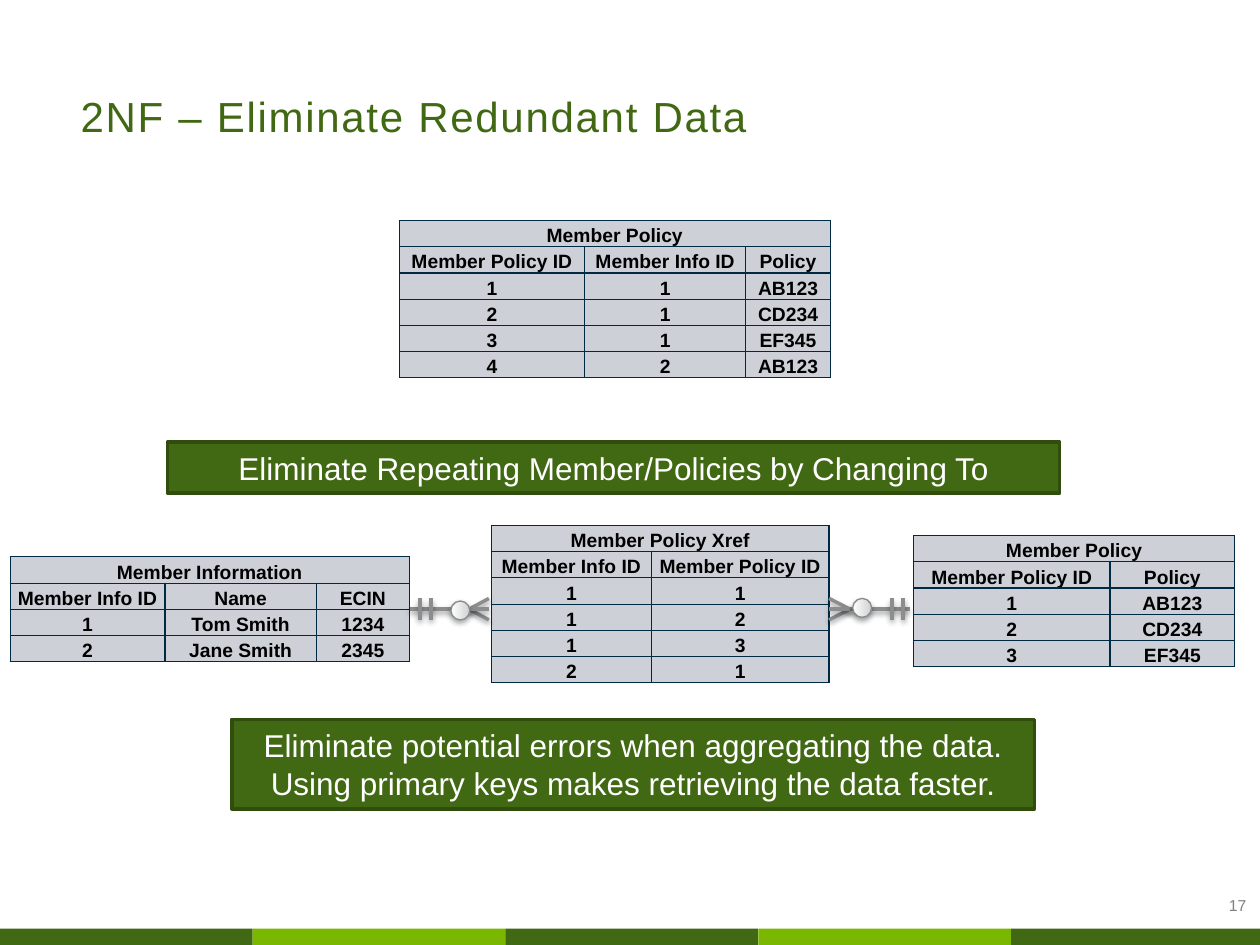
from lxml.etree import SubElement
from pptx import Presentation
from pptx.dml.color import RGBColor
from pptx.enum.shapes import MSO_CONNECTOR as Connector, MSO_SHAPE as Shape
from pptx.enum.text import MSO_ANCHOR as Anchor, MSO_AUTO_SIZE as AutoSize, PP_ALIGN as Align
from pptx.oxml import parse_xml
from pptx.oxml.ns import nsdecls, qn
from pptx.util import Inches, Pt

WIDTH, HEIGHT = Inches(10), Inches(7.5)
GREEN, LIME, DARK_GREEN = "416812", "7AB800", "304D0D"
NAVY, CELL_GREY, LINE_GREY = "002A43", "CDD0D7", "8B8D8E"
ROW_HEIGHT = 2.78


def color(value):
    """Turn a hex string into a colour."""
    return RGBColor.from_string(value)


def place(left, top, width, height):
    """Turn percentages of the slide into lengths."""
    return [int(share * side / 100) for share, side in
            zip((left, top, width, height), (WIDTH, HEIGHT) * 2)]


def style_text(text_frame, size, hex_color, align, bold=False):
    """Format every paragraph and run of a text frame."""
    for paragraph in text_frame.paragraphs:
        paragraph.alignment = align
        for run in paragraph.runs:
            run.font.name, run.font.size, run.font.bold = "Arial", Pt(size), bold
            run.font.color.rgb = color(hex_color)


def add_shadow(shape, alpha):
    """Give a shape or connector a soft shadow straight below it."""
    effects = parse_xml(
        f'<a:effectLst {nsdecls("a")}><a:outerShdw blurRad="{Pt(3.1)}" dist="{Pt(1.6)}" '
        f'dir="5400000" rotWithShape="0"><a:srgbClr val="000000"><a:alpha val="{alpha * 1000}"/>'
        '</a:srgbClr></a:outerShdw></a:effectLst>')
    shape._element.spPr.append(effects)


def add_rectangle(slide, box, fill):
    """Draw a plain filled rectangle."""
    shape = slide.shapes.add_shape(Shape.RECTANGLE, *place(*box))
    shape.shadow.inherit = False
    shape.fill.solid()
    shape.fill.fore_color.rgb = color(fill)
    shape.line.fill.background()
    return shape


def add_title(slide, box, text):
    """Move and format the title placeholder."""
    title = slide.shapes.title
    title.left, title.top, title.width, title.height = place(*box)
    frame = title.text_frame
    frame.text = text
    frame.auto_size, frame.word_wrap = AutoSize.NONE, True
    frame.vertical_anchor, frame.margin_bottom = Anchor.BOTTOM, 0
    style_text(frame, 24, GREEN, Align.LEFT)
    paragraph = frame.paragraphs[0]
    paragraph.line_spacing = Pt(26.8)
    paragraph.runs[0].font._element.set("spc", "100")


def add_footer(slide, box, number):
    """Draw the striped band and the slide number above it."""
    left, top, width, height = box
    stripe = width / 5
    for index in range(5):
        add_rectangle(slide, (left + index * stripe, top, stripe, height),
                      LIME if index % 2 else GREEN)
    label = slide.shapes.add_textbox(*place(93.2, top - 3.87, 6.7, 2.67))
    frame = label.text_frame
    frame.text = number
    frame.word_wrap, frame.vertical_anchor = True, Anchor.MIDDLE
    style_text(frame, 9, "808080", Align.RIGHT)


def add_banner(slide, box, text):
    """Draw a green banner with centred white text."""
    banner = add_rectangle(slide, box, GREEN)
    banner.line.color.rgb, banner.line.width = color(DARK_GREEN), Pt(2)
    frame = banner.text_frame
    frame.text = text
    frame.word_wrap, frame.vertical_anchor = True, Anchor.MIDDLE
    style_text(frame, 18, "FFFFFF", Align.CENTER)


def style_cell(cell):
    """Format the text, fill and borders of a table cell."""
    cell.fill.solid()
    cell.fill.fore_color.rgb = color(CELL_GREY)
    cell.vertical_anchor = Anchor.BOTTOM
    cell.margin_left = cell.margin_right = cell.margin_top = Inches(0.01)
    cell.margin_bottom = 0
    style_text(cell.text_frame, 11, "000000", Align.CENTER, True)
    properties = cell._tc.get_or_add_tcPr()
    for index, side in enumerate(("lnL", "lnR", "lnT", "lnB")):
        border = SubElement(properties, qn(f"a:{side}"), w=str(Pt(0.75)))
        fill = SubElement(border, qn("a:solidFill"))
        SubElement(fill, qn("a:srgbClr"), val=NAVY)
        properties.insert(index, border)


def add_data_table(slide, left, top, columns, heading, rows):
    """Draw a table with a heading row merged across its columns."""
    count = len(rows) + 1
    box = place(left, top, sum(columns), count * ROW_HEIGHT)
    table = slide.shapes.add_table(count, len(columns), *box).table
    for column, width in zip(table.columns, columns):
        column.width = int(width * WIDTH / 100)
    for row in table.rows:
        row.height = int(ROW_HEIGHT * HEIGHT / 100)
    table.cell(0, 0).merge(table.cell(0, len(columns) - 1))
    table.cell(0, 0).text = heading
    for row_index, row in enumerate(rows, 1):
        for column_index, text in enumerate(row):
            table.cell(row_index, column_index).text = text
    for cell in table.iter_cells():
        style_cell(cell)


def add_relation(slide, box, tip, ring, ticks, flipped=False):
    """Draw a crow's foot relation, with shares measured from its many end."""
    left, top, width, height = place(*box)

    def point(x, y):
        """Find a point by its shares of the box."""
        return int(left + width * (x if flipped else 1 - x)), int(top + height * y)

    strokes = [((1, 0.5), (tip, 0.5))]
    strokes += [((0, y), (tip, 0.5)) for y in (1, 0, 0.5)]
    strokes += [((x, 0), (x, 1)) for x in ticks]
    for start, end in strokes:
        line = slide.shapes.add_connector(Connector.STRAIGHT, *point(*start), *point(*end))
        line.line.color.rgb, line.line.width = color(LINE_GREY), Pt(2)
        add_shadow(line, 38)
    diameter = Inches(0.15)
    center_x, center_y = point(*ring)
    circle = slide.shapes.add_shape(Shape.FLOWCHART_CONNECTOR, center_x - diameter // 2,
                                    center_y - diameter // 2, diameter, diameter)
    circle.fill.gradient()
    circle.fill.gradient_angle = 0
    for stop, value in zip(circle.fill.gradient_stops, ("FFFFFF", "CFD1D2")):
        stop.color.rgb = color(value)
    circle.line.color.rgb, circle.line.width = color("888A8B"), Pt(0.75)
    add_shadow(circle, 35)


def build_slide(presentation):
    """Lay out the normalization slide."""
    slide = presentation.slides.add_slide(presentation.slide_layouts[5])
    add_footer(slide, (0, 98.27, 100.3, 2), "17")
    add_title(slide, (5.4, 4.93, 89.6, 10), "2NF – Eliminate Redundant Data")
    add_banner(slide, (13.3, 46.8, 70.8, 5.4),
               "Eliminate Repeating Member/Policies by Changing To")
    add_data_table(slide, 31.7, 23.33, (14.7, 12.8, 6.7), "Member Policy", [
        ("Member Policy ID", "Member Info ID", "Policy"),
        ("1", "1", "AB123"), ("2", "1", "CD234"), ("3", "1", "EF345"), ("4", "2", "AB123")])
    add_data_table(slide, 0.8, 58.93, (12.3, 12, 7.4), "Member Information", [
        ("Member Info ID", "Name", "ECIN"),
        ("1", "Tom Smith", "1234"), ("2", "Jane Smith", "2345")])
    add_data_table(slide, 39, 55.6, (12.7, 14.1), "Member Policy Xref", [
        ("Member Info ID", "Member Policy ID"),
        ("1", "1"), ("1", "2"), ("1", "3"), ("2", "1")])
    add_data_table(slide, 72.5, 56.67, (15.6, 9.9), "Member Policy", [
        ("Member Policy ID", "Policy"),
        ("1", "AB123"), ("2", "CD234"), ("3", "EF345")])
    add_relation(slide, (32.5, 63.33, 6.3, 2.27), 0.25, (0.36, 0.56), (0.87, 0.73))
    add_relation(slide, (65.8, 63.33, 6.4, 2.27), 0.26, (0.41, 0.44), (0.78, 0.92), True)
    add_banner(slide, (18.4, 76.13, 63.7, 9.47),
               "Eliminate potential errors when aggregating the data.\n"
               "Using primary keys makes retrieving the data faster.")


def main():
    """Build and save the presentation."""
    presentation = Presentation()
    presentation.slide_width, presentation.slide_height = WIDTH, HEIGHT
    build_slide(presentation)
    presentation.save("out.pptx")


if __name__ == "__main__":
    main()
